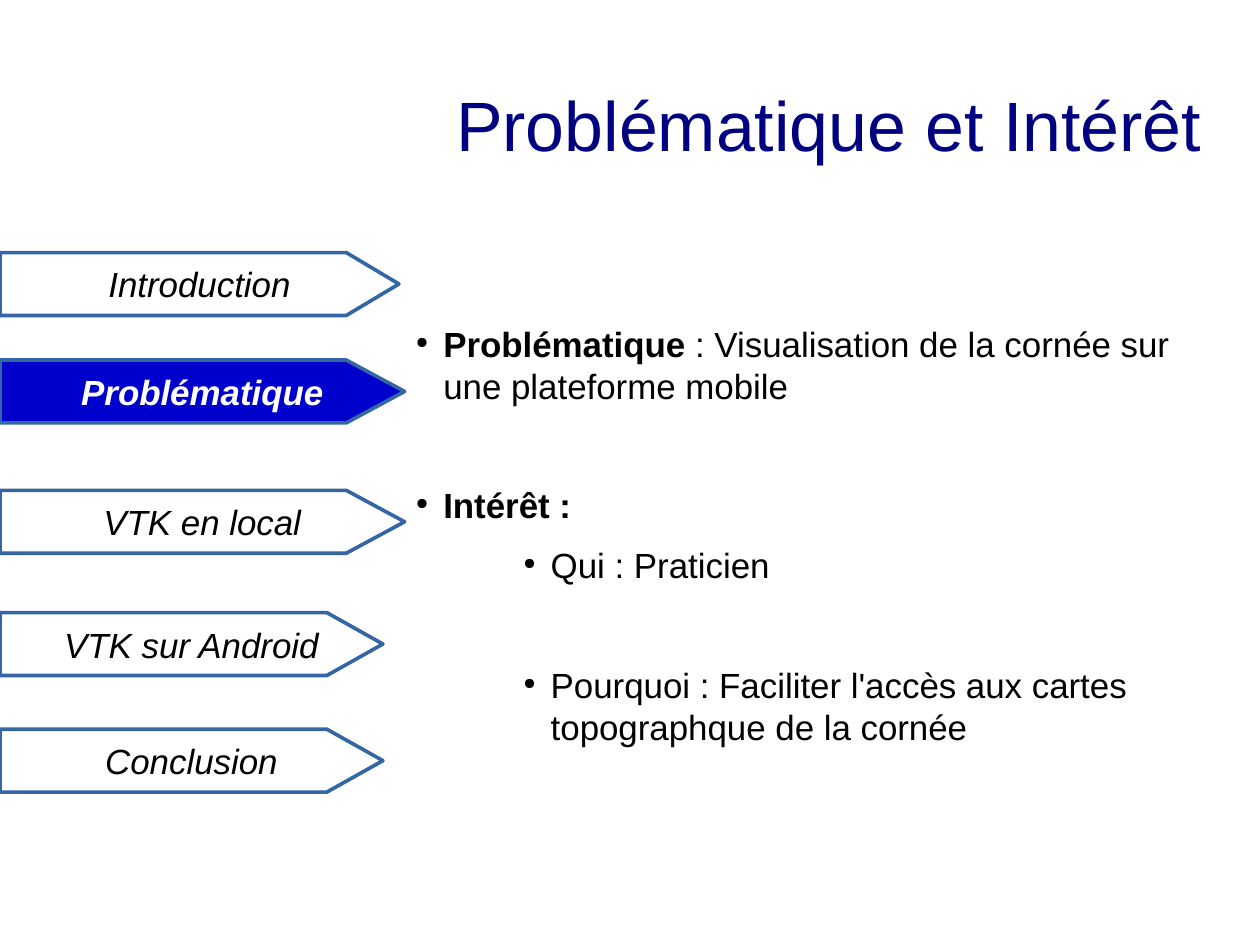
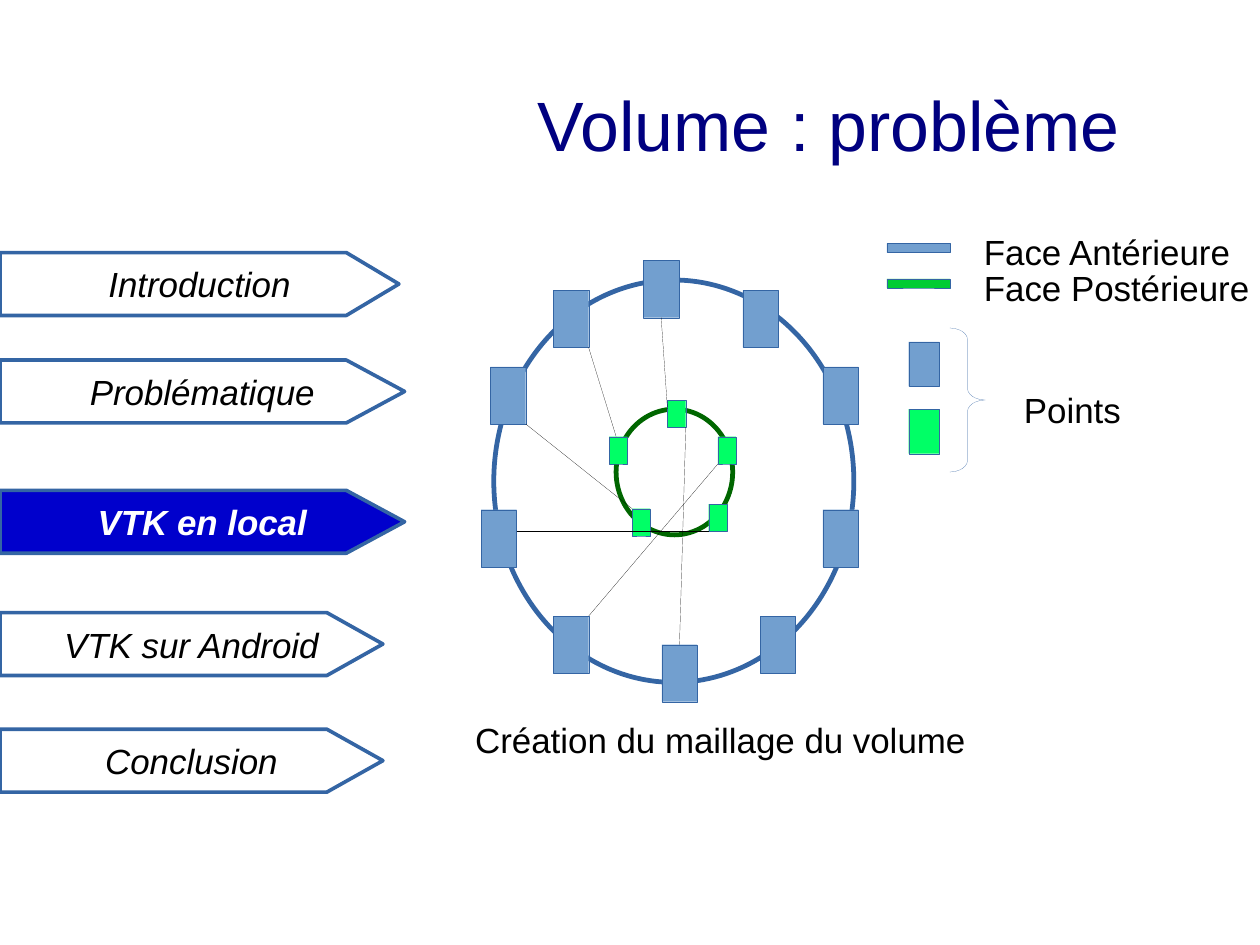
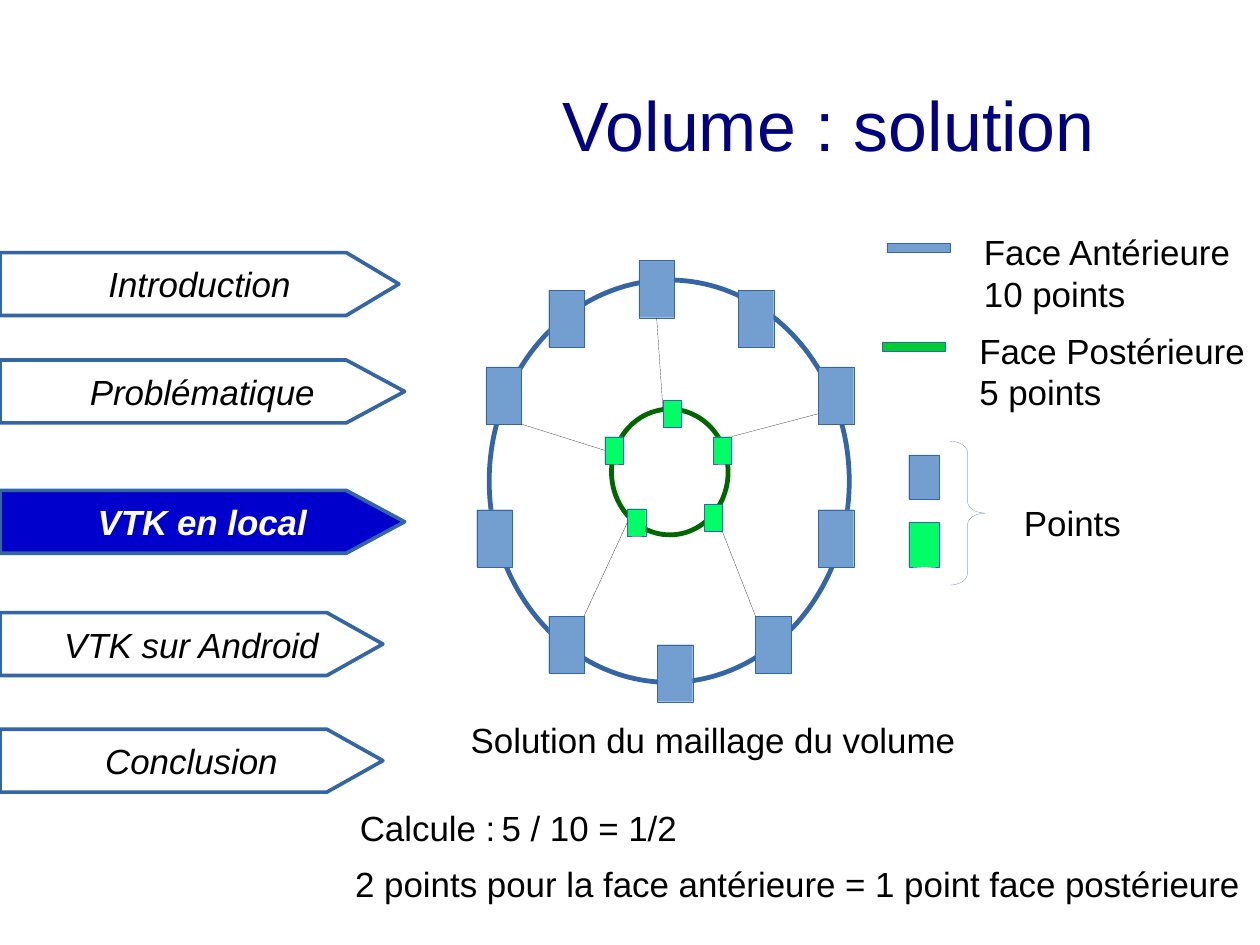
from lxml import etree
from pptx import Presentation
from pptx import util as u
from pptx.dml.color import RGBColor
from pptx.enum import shapes, text
from pptx.oxml.ns import qn

PX = 9144  # EMU: 100 px to the inch
SLIDE_SIZE = (u.Cm(28), u.Cm(21))
FONT = "Arial"
HAIRLINE = 0.1

NAVY = RGBColor(0x00, 0x00, 0x80)
ACTIVE_BLUE = RGBColor(0x00, 0x00, 0xCC)
LINE_BLUE = RGBColor(0x34, 0x65, 0xA4)
POINT_BLUE = RGBColor(0x72, 0x9F, 0xCF)
RING_GREEN = RGBColor(0x00, 0x66, 0x00)
POINT_GREEN = RGBColor(0x00, 0xFF, 0x66)
LEGEND_GREEN = RGBColor(0x00, 0xCC, 0x33)
BLACK = RGBColor(0, 0, 0)
WHITE = RGBColor(255, 255, 255)

RECTANGLE = shapes.MSO_SHAPE.RECTANGLE
CENTER = text.PP_ALIGN.CENTER
LEFT = text.PP_ALIGN.LEFT
MIDDLE = text.MSO_ANCHOR.MIDDLE
TOP = text.MSO_ANCHOR.TOP

# label, top, width, length of the point
SECTIONS = [
    ("Introduction", 221, 349, 46),
    ("Problématique", 315, 354, 51),
    ("VTK en local", 429, 354, 51),
    ("VTK sur Android", 536, 335, 49),
    ("Conclusion", 638, 335, 49),
]
SECTION_HEIGHT = 55

# runs as (words, bold), indent, space after in points
PROBLEM_BULLETS = [
    ([("Problématique", True), (" : Visualisation de la cornée sur une plateforme mobile", False)], 24, 49),
    ([("Intérêt :", True)], 24, 11.3),
    ([("Qui : Praticien", False)], 118, 49),
    ([("Pourquoi : Faciliter l'accès aux cartes topographque de la cornée", False)], 118, 0),
]
HANGING = 24

# ring box, ring colour, point size, point colour, top left of each point
FRONT_FACE = ((432, 245, 315, 352), LINE_BLUE, (31, 50), POINT_BLUE, [
    (563, 228), (650, 254), (720, 321), (720, 446), (665, 539),
    (579, 564), (484, 539), (421, 446), (429, 321), (484, 254)])
BACK_FACE = ((539, 358, 102, 110), RING_GREEN, (16, 24), POINT_GREEN, [
    (584, 350), (553, 445), (533, 382), (620, 441), (628, 382)])

# places on a point, as shares of its width and height
NW, NE, SW, SE = (0, 0), (1, 0), (0, 1), (1, 1)
SIDES = [(0.5, 0), (0, 0.5), (0.5, 1), (1, 0.5)]
TOP_SIDE, LEFT_SIDE, BOTTOM_SIDE, RIGHT_SIDE = SIDES

# front point, place on it, back point, place on it
PROBLEM_LINKS = [
    (0, BOTTOM_SIDE, 0, (0, 0.33)), (9, SE, 2, (0.38, 0)), (8, SE, 1, NW),
    (7, (1, 0.38), 3, SW), (6, NE, 4, SW), (5, TOP_SIDE, 0, SE)]
SOLUTION_LINKS = [
    (0, BOTTOM_SIDE, 0, (0, 0.33)), (8, SE, 2, LEFT_SIDE), (6, NE, 1, LEFT_SIDE),
    (4, NW, 3, SE), (2, (0, 0.82), 4, NE)]

# lines of the entry, left and top of its key, key colour, width of the words
PROBLEM_LEGEND = [
    (["Face Antérieure"], 776, 213, POINT_BLUE, 235),
    (["Face Postérieure"], 776, 244, LEGEND_GREEN, 253)]
SOLUTION_LEGEND = [
    (["Face Antérieure", "10 points"], 776, 213, POINT_BLUE, 235),
    (["Face Postérieure", "5 points"], 772, 299, LEGEND_GREEN, 253)]

PROBLEM_LABELS = [("Création du maillage du volume", (406, 624, 450, 44))]
SOLUTION_LABELS = [
    ("Solution du maillage du volume", (402, 624, 445, 44)),
    ("2 points pour la face antérieure = 1 point face postérieure", (301, 750, 796, 44)),
    ("Calcule :", (305, 701, 147, 44)),
    ("5 / 10 = 1/2", (429, 701, 174, 44))]

# title, section, shift, links, legend, top of the points key, labels
VOLUME_SLIDES = [
    ("Volume : problème", "VTK en local", 0, PROBLEM_LINKS, PROBLEM_LEGEND, 287, PROBLEM_LABELS),
    ("Volume : solution", "VTK en local", -4, SOLUTION_LINKS, SOLUTION_LEGEND, 386, SOLUTION_LABELS),
]


def px(*lengths):
    return [u.Emu(round(length * PX)) for length in lengths]


def write(frame, paragraphs, size=22, color=BLACK, bold=False, italic=False, align=LEFT,
          anchor=TOP, insets=(10, 5, 10, 5), wrap=False):
    """Fill a frame; a paragraph is a string or a list of (words, bold) runs."""
    frame.word_wrap = wrap
    frame.vertical_anchor = anchor
    frame.margin_left, frame.margin_top, frame.margin_right, frame.margin_bottom = px(*insets)
    for index, content in enumerate(paragraphs):
        paragraph = frame.add_paragraph() if index else frame.paragraphs[0]
        paragraph.alignment = align
        for words, strong in [(content, bold)] if isinstance(content, str) else content:
            run = paragraph.add_run()
            run.text = words
            font = run.font
            font.name, font.size, font.bold, font.italic = FONT, u.Pt(size), strong, italic
            font.color.rgb = color


def add_text(slide, box, paragraphs, **style):
    frame = slide.shapes.add_textbox(*px(*box)).text_frame
    write(frame, paragraphs, **style)
    return frame


def add_shape(parent, kind, box, fill=None, line=LINE_BLUE, width=HAIRLINE):
    shape = parent.shapes.add_shape(kind, *px(*box))
    shape.shadow.inherit = False
    if fill is None:
        shape.fill.background()
    else:
        shape.fill.solid()
        shape.fill.fore_color.rgb = fill
    shape.line.color.rgb = line
    shape.line.width = u.Pt(width)
    return shape


def add_bullet(paragraph, indent):
    properties = paragraph._p.get_or_add_pPr()
    properties.set("marL", str(indent * PX))
    properties.set("indent", str(-HANGING * PX))
    color = etree.SubElement(properties, qn("a:buClr"))
    etree.SubElement(color, qn("a:srgbClr"), val=str(BLACK))
    etree.SubElement(properties, qn("a:buSzPct"), val="45000")
    etree.SubElement(properties, qn("a:buChar"), char="●")


def add_section_slide(presentation, title, active):
    """Add a slide with its title and the section arrows on the left."""
    slide = presentation.slides.add_slide(presentation.slide_layouts[6])
    add_text(slide, (349, 39, 753, 138), [title], size=44, color=NAVY, align=CENTER,
             anchor=MIDDLE, insets=(0, 0, 0, 0), wrap=True)
    for label, top, width, tip in SECTIONS:
        current = label == active
        arrow = add_shape(slide, shapes.MSO_SHAPE.PENTAGON, (0, top, width, SECTION_HEIGHT),
                          ACTIVE_BLUE if current else WHITE, width=2.3)
        arrow.adjustments[0] = tip / SECTION_HEIGHT
        # The text area stops halfway along the tip, so the left inset balances it.
        write(arrow.text_frame, [label], color=WHITE if current else BLACK, bold=current,
              italic=True, align=CENTER, anchor=MIDDLE, insets=(11 + tip / 2, 6, 11, 6))
    return slide


def add_face(slide, face, shift):
    """Draw a ring and its points in one group and return the points."""
    (left, top, width, height), ring_color, size, point_color, places = face
    group = slide.shapes.add_group_shape()
    add_shape(group, shapes.MSO_SHAPE.OVAL, (left + shift, top, width, height),
              WHITE, ring_color, 3)
    return [add_shape(group, RECTANGLE, (x + shift, y, *size), point_color) for x, y in places]


def place_on(shape, share):
    return (round(shape.left + share[0] * shape.width),
            round(shape.top + share[1] * shape.height))


def add_link(slide, start, start_share, end, end_share):
    link = slide.shapes.add_connector(shapes.MSO_CONNECTOR.STRAIGHT,
                                      *place_on(start, start_share), *place_on(end, end_share))
    link.line.color.rgb = BLACK
    link.line.width = u.Pt(HAIRLINE)
    etree.SubElement(link._element.spPr, qn("a:effectLst"))
    if start_share in SIDES:
        link.begin_connect(start, SIDES.index(start_share))
    if end_share in SIDES:
        link.end_connect(end, SIDES.index(end_share))


def add_legend(slide, entries, key_top):
    for lines, left, top, color, width in entries:
        add_shape(slide, RECTANGLE, (left, top, 55, 8), color)
        add_text(slide, (left + 75, top - 16, width, 10 + 34 * len(lines)), lines)
    for offset, color in ((12, POINT_BLUE), (71, POINT_GREEN)):
        add_shape(slide, RECTANGLE, (795, key_top + offset, 27, 39), color)
    brace = add_shape(slide, shapes.MSO_SHAPE.RIGHT_BRACE, (831, key_top, 31, 126))
    brace.adjustments[0] = 0.33
    add_text(slide, (886, key_top + 48, 105, 44), ["Points"])


def add_problem_slide(presentation):
    slide = add_section_slide(presentation, "Problématique et Intérêt", "Problématique")
    frame = add_text(slide, (354, 220, 724, 496), [runs for runs, _, _ in PROBLEM_BULLETS],
                     anchor=MIDDLE, wrap=True)
    for paragraph, (_, indent, space) in zip(frame.paragraphs, PROBLEM_BULLETS):
        add_bullet(paragraph, indent)
        paragraph.space_after = u.Pt(space)


def add_volume_slide(presentation, title, section, shift, links, legend, key_top, labels):
    slide = add_section_slide(presentation, title, section)
    front = add_face(slide, FRONT_FACE, shift)
    back = add_face(slide, BACK_FACE, shift)
    for front_index, front_share, back_index, back_share in links:
        add_link(slide, front[front_index], front_share, back[back_index], back_share)
    add_legend(slide, legend, key_top)
    for words, box in labels:
        add_text(slide, box, [words])


def main():
    presentation = Presentation()
    presentation.slide_width, presentation.slide_height = SLIDE_SIZE
    add_problem_slide(presentation)
    for volume in VOLUME_SLIDES:
        add_volume_slide(presentation, *volume)
    presentation.save("out.pptx")


if __name__ == "__main__":
    main()
